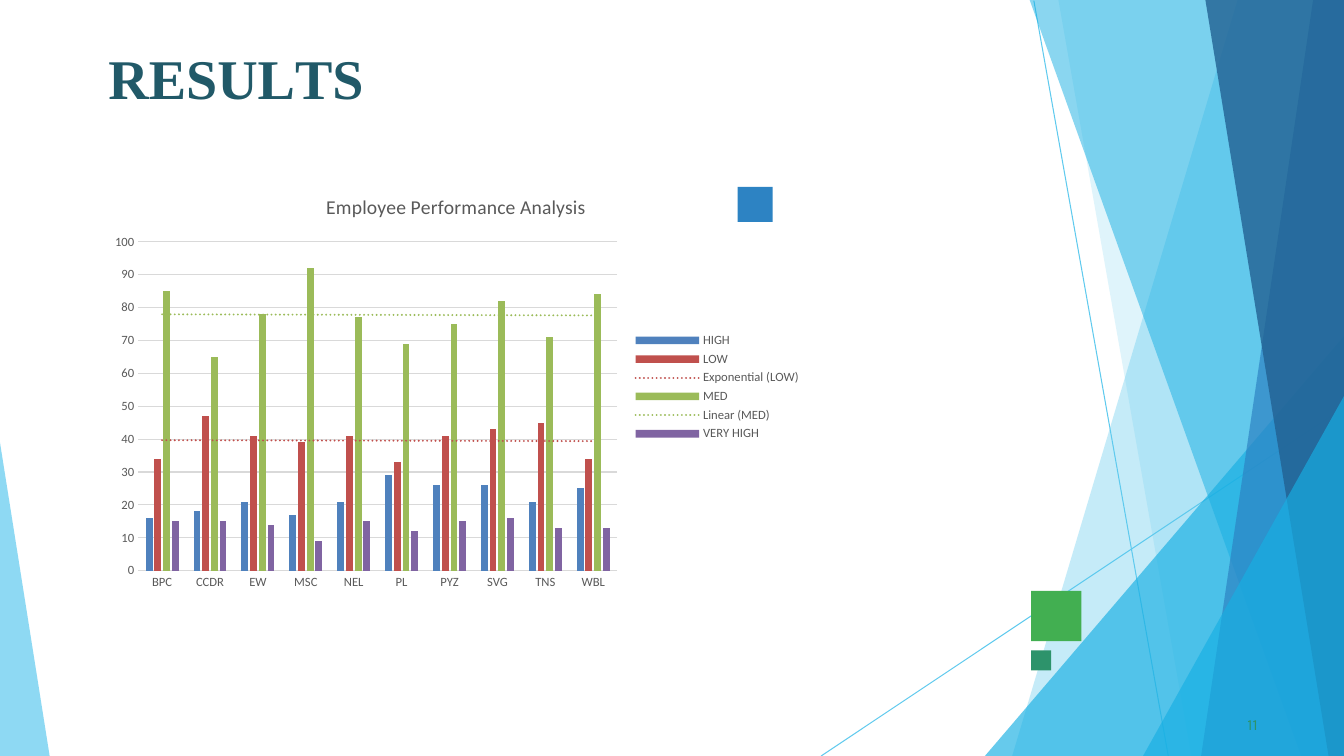
from lxml.etree import SubElement
from pptx import Presentation
from pptx.chart.data import CategoryChartData
from pptx.dml.color import RGBColor
from pptx.enum.chart import XL_CHART_TYPE as ChartType, XL_LEGEND_POSITION as LegendPosition, XL_TICK_MARK as TickMark
from pptx.enum.shapes import MSO_CONNECTOR as Connector, MSO_SHAPE as Shape
from pptx.enum.text import MSO_ANCHOR as Anchor, PP_ALIGN as Align
from pptx.oxml import parse_xml
from pptx.oxml.ns import nsdecls, qn
from pptx.util import Pt

SKY = RGBColor(0x5F, 0xCA, 0xEE)
CYAN = RGBColor(0x17, 0xAF, 0xE3)
BLUE = RGBColor(0x2D, 0x83, 0xC3)
NAVY = RGBColor(0x22, 0x61, 0x92)
GREEN = RGBColor(0x42, 0xAF, 0x51)
TEAL = RGBColor(0x2D, 0x93, 0x6B)
TITLE_TEAL = RGBColor(0x21, 0x59, 0x68)
GRAY = RGBColor(0x59, 0x59, 0x59)
GRID_GRAY = RGBColor(0xD9, 0xD9, 0xD9)
BAR_BLUE = RGBColor(0x4F, 0x81, 0xBD)
BAR_RED = RGBColor(0xC0, 0x50, 0x4D)
BAR_GREEN = RGBColor(0x9B, 0xBB, 0x59)
BAR_PURPLE = RGBColor(0x80, 0x64, 0xA2)
WIDTH, HEIGHT = 960, 540


def apply_format(target, values):
    for name, value in values.items():
        if name == "color":
            target.color.rgb = value
        else:
            setattr(target, name, value)


def paint(shape, color):
    shape.shadow.inherit = False
    shape.fill.solid()
    shape.fill.fore_color.rgb = color
    shape.line.fill.background()


deck = Presentation()
deck.slide_width, deck.slide_height = Pt(WIDTH), Pt(HEIGHT)
page = deck.slides.add_slide(deck.slide_layouts[5])

for x1, y1, x2, y2 in [(738.5, 0.5, 834.5, HEIGHT), (WIDTH, 291, 586.5, HEIGHT)]:
    ray = page.shapes.add_connector(Connector.STRAIGHT, Pt(x1), Pt(y1), Pt(x2), Pt(y2))
    apply_format(ray.line, {"color": SKY, "width": Pt(0.75)})
    SubElement(ray.line._get_or_add_ln().getparent(), qn("a:effectLst"))

right_edge = [(WIDTH, HEIGHT), (WIDTH, 0)]
facets = [
    ([(884, 0), (723, HEIGHT), *right_edge], SKY, 36),
    ([(756, 0), (851, HEIGHT), *right_edge], SKY, 20),
    ([(WIDTH, 240), (703.5, HEIGHT), (WIDTH, HEIGHT)], CYAN, 66),
    ([(735.5, 0), (929.5, HEIGHT), *right_edge], CYAN, 50),
    ([(938, 0), (858, HEIGHT), *right_edge], BLUE, 70),
    ([(861, 0), (949, HEIGHT), *right_edge], NAVY, 80),
    ([(WIDTH, 283), (816.5, HEIGHT), (WIDTH, HEIGHT)], CYAN, 66),
    ([(0, 316), (0, HEIGHT), (35.5, HEIGHT)], SKY, 70),
]
for corners, color, opacity in facets:
    start, *rest = [(Pt(x), Pt(y)) for x, y in corners]
    builder = page.shapes.build_freeform(*start)
    builder.add_line_segments(rest, close=True)
    facet = builder.convert_to_shape()
    paint(facet, color)
    tint = facet.fill._xPr.find(qn("a:solidFill"))[0]
    SubElement(tint, qn("a:alpha"), val=str(opacity * 1000))

for left, top, size, color in [(736.5, 422, 36, GREEN), (527, 133.5, 25, BLUE), (736.5, 464.5, 14.4, TEAL)]:
    square = page.shapes.add_shape(Shape.RECTANGLE, Pt(left), Pt(top), Pt(size), Pt(size))
    paint(square, color)

title = page.shapes.title
number = page.shapes.add_textbox(Pt(888), Pt(509.5), Pt(18), Pt(15.5))
title_font = {"name": "Times New Roman", "size": Pt(40), "bold": True, "color": TITLE_TEAL}
number_font = {"name": "Karla", "size": Pt(11), "color": TEAL}
labels = [
    (title, [("RESU", 0), ("L", -400), ("TS", 0)], title_font, 0, 1.1),
    (number, [("11", 10)], number_font, 3, 0.6),
]
apply_format(title, {"left": Pt(77.5), "top": Pt(30), "width": Pt(240), "height": Pt(50)})
for box, pieces, font, inset, space in labels:
    apply_format(box.text_frame, {
        "margin_left": Pt(inset), "margin_top": Pt(1), "margin_right": 0, "margin_bottom": 0,
        "vertical_anchor": Anchor.TOP, "word_wrap": True,
    })
    para = box.text_frame.paragraphs[0]
    apply_format(para, {"alignment": Align.LEFT, "space_before": Pt(space)})
    for text, spacing in pieces:
        span = para.add_run()
        span.text = text
        apply_format(span.font, font)
        span.font._element.set("spc", str(spacing))

series_rows = [
    ("HIGH", [16, 18, 21, 17, 21, 29, 26, 26, 21, 25], BAR_BLUE, None),
    ("LOW", [34, 47, 41, 39, 41, 33, 41, 43, 45, 34], BAR_RED, "exp"),
    ("MED", [85, 65, 78, 92, 77, 69, 75, 82, 71, 84], BAR_GREEN, "linear"),
    ("VERY HIGH", [15, 15, 14, 9, 15, 12, 15, 16, 13, 13], BAR_PURPLE, None),
]
data = CategoryChartData()
data.categories = ["BPC", "CCDR", "EW", "MSC", "NEL", "PL", "PYZ", "SVG", "TNS", "WBL"]
for name, values, color, trend in series_rows:
    data.add_series(name, values)
chart = page.shapes.add_chart(
    ChartType.COLUMN_CLUSTERED, Pt(72), Pt(126), Pt(507.5), Pt(301), data
).chart
small_font = {"name": "Calibri", "size": Pt(9), "color": GRAY}
apply_format(chart.font, {**small_font, "size": Pt(10)})

apply_format(chart, {"has_title": True, "has_legend": True})
chart.chart_title.include_in_layout = False
heading = chart.chart_title.text_frame.paragraphs[0].add_run()
heading.text = "Employee Performance Analysis"
apply_format(heading.font, {**small_font, "size": Pt(14), "bold": False})
apply_format(chart.legend, {"position": LegendPosition.RIGHT, "include_in_layout": False})
apply_format(chart.legend.font, small_font)

for axis in (chart.category_axis, chart.value_axis):
    apply_format(axis, {"major_tick_mark": TickMark.NONE, "minor_tick_mark": TickMark.NONE})
    apply_format(axis.tick_labels.font, small_font)
apply_format(chart.value_axis, {"minimum_scale": 0, "maximum_scale": 100, "major_unit": 10})
chart.value_axis.format.line.fill.background()
for line in (chart.category_axis.format.line, chart.value_axis.major_gridlines.format.line):
    apply_format(line, {"color": GRID_GRAY, "width": Pt(0.75)})

plot = chart.plots[0]
apply_format(plot, {"gap_width": 219, "overlap": -27, "vary_by_categories": False})
for series, (name, values, color, trend) in zip(plot.series, series_rows):
    series.format.fill.solid()
    series.format.fill.fore_color.rgb = color
    if trend:
        trendline = parse_xml(
            f'<c:trendline {nsdecls("c", "a")}><c:spPr><a:ln w="{Pt(1.5)}" cap="rnd"><a:solidFill>'
            f'<a:srgbClr val="{color}"/></a:solidFill><a:prstDash val="sysDot"/></a:ln></c:spPr>'
            f'<c:trendlineType val="{trend}"/><c:dispRSqr val="0"/><c:dispEq val="0"/></c:trendline>'
        )
        series._element.find(qn("c:cat")).addprevious(trendline)

deck.save("out.pptx")
